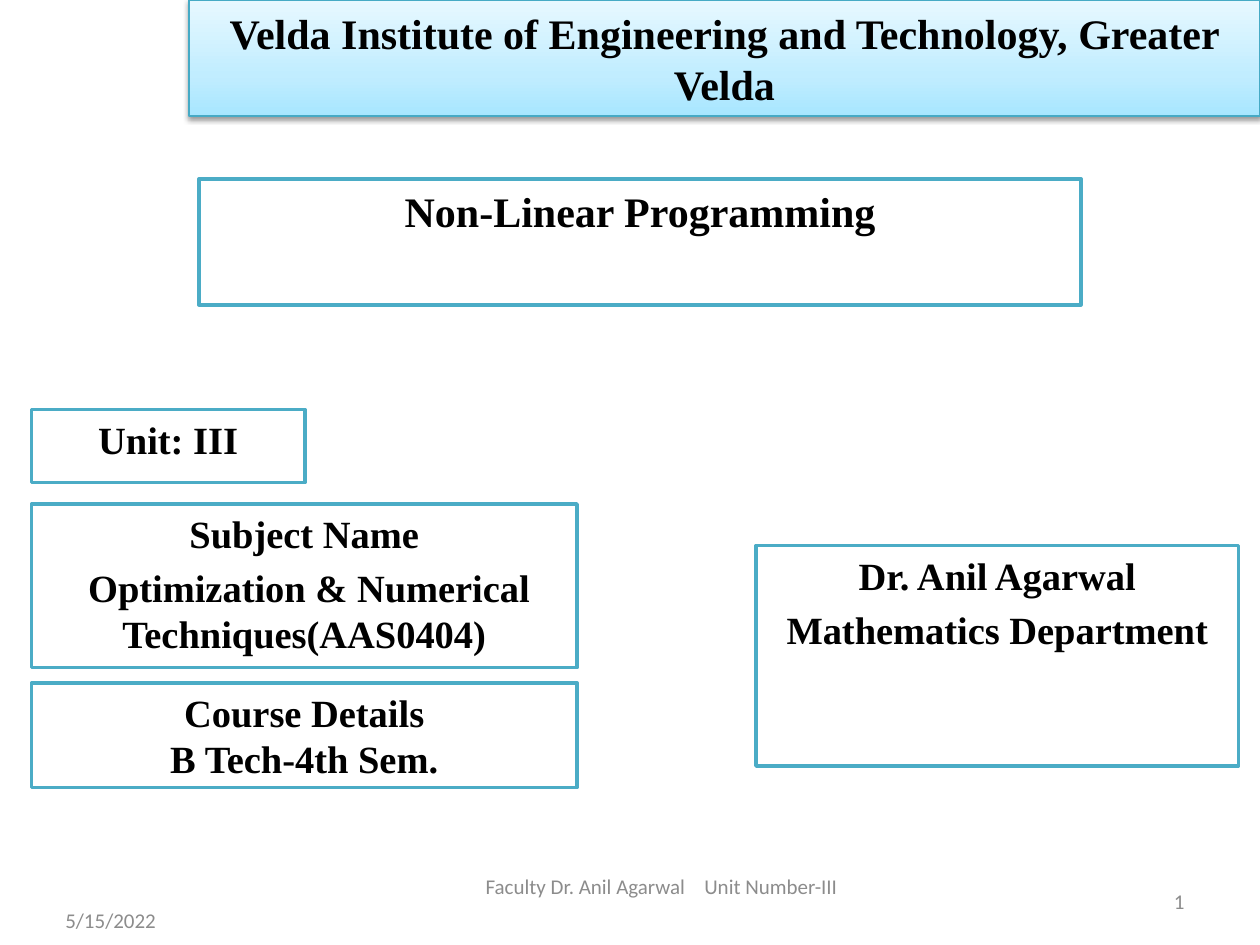
from pptx import Presentation, oxml
from pptx.dml.color import RGBColor
from pptx.enum import shapes, text
from pptx.util import Inches, Pt

MID, LEFT, RIGHT = text.PP_ALIGN.CENTER, text.PP_ALIGN.LEFT, text.PP_ALIGN.RIGHT
NS = 'xmlns:a="http://schemas.openxmlformats.org/drawingml/2006/main"'

BANNER = (1.5, 0, 8.5, 0.92)
TITLE = "Velda Institute of Engineering and Technology, Greater Velda"
STOPS = [(0, "A7E6FF"), (35, "C1EDFF"), (100, "E7F8FF")]

CARDS = [
    ((1.58, 1.42, 7, 1), 24, ["Non-Linear Programming"]),
    ((6, 4.33, 3.83, 1.75), 22, ["Dr. Anil Agarwal", "Mathematics Department"]),
    ((0.25, 3.25, 2.17, 0.58), 22, ["Unit: III"]),
    ((0.25, 4, 4.33, 1.3), 22,
     ["Subject Name", " Optimization & Numerical Techniques(AAS0404)"]),
    ((0.25, 5.42, 4.33, 0.83), 22, ["Course Details\vB Tech-4th Sem."]),
]

NOTES = [
    ((0.42, 7.1, 2.33, 0.4), LEFT, ["5/15/2022"]),
    ((7.17, 6.95, 2.33, 0.4), RIGHT, ["1"]),
    ((2.5, 6.83, 5.5, 0.4), MID, ["Faculty Dr. Anil Agarwal", "Unit Number-III"]),
]


def color(code):
    return RGBColor.from_string(code)


def style(para, face, size, code, align, bold=False):
    para.alignment = align
    font = para.font
    font.name, font.size, font.bold = face, Pt(size), bold
    font.color.rgb = color(code)


def add_box(slide, area, lines, size, edge, width, gap):
    box = slide.shapes.add_shape(shapes.MSO_SHAPE.RECTANGLE, *map(Inches, area))
    box.shadow.inherit = False
    box.line.color.rgb = color(edge)
    box.line.width = Pt(width)
    frame = box.text_frame
    frame.word_wrap = True
    frame.vertical_anchor = text.MSO_ANCHOR.TOP
    for i, line in enumerate(lines):
        para = frame.add_paragraph() if i else frame.paragraphs[0]
        para.text = line
        para.space_before = Pt(gap)
        style(para, "Times New Roman", size, "000000", MID, True)
    return box


def add_banner(slide):
    box = add_box(slide, BANNER, [TITLE], 24, "46AAC5", 0.75, 0)
    box.text_frame.vertical_anchor = text.MSO_ANCHOR.MIDDLE
    stops = "".join(
        f'<a:gs pos="{pos * 1000}"><a:srgbClr val="{code}"/></a:gs>'
        for pos, code in STOPS)
    props = box.line._get_or_add_ln().getparent()
    props.find(oxml.ns.qn("a:ln")).addprevious(oxml.parse_xml(
        f'<a:gradFill {NS} rotWithShape="1"><a:gsLst>{stops}</a:gsLst>'
        '<a:lin ang="16200000" scaled="0"/></a:gradFill>'))
    props.find(oxml.ns.qn("a:effectLst")).append(oxml.parse_xml(
        f'<a:outerShdw {NS} blurRad="{Pt(3.1)}" dist="{Pt(1.6)}" dir="5400000" '
        'rotWithShape="0"><a:srgbClr val="000000"><a:alpha val="38000"/>'
        '</a:srgbClr></a:outerShdw>'))


def add_note(slide, area, align, parts):
    frame = slide.shapes.add_textbox(*map(Inches, area)).text_frame
    frame.word_wrap = True
    frame.vertical_anchor = text.MSO_ANCHOR.MIDDLE
    para = frame.paragraphs[0]
    for i, part in enumerate(parts):
        if i:
            space = para.add_run()
            space.text = " "
            space._r.get_or_add_rPr().set("spc", "810")
        para.add_run().text = part
    style(para, "Calibri", 12, "8C8C8C", align)


def main():
    deck = Presentation()
    deck.slide_width, deck.slide_height = Inches(10), Inches(7.5)
    slide = deck.slides.add_slide(deck.slide_layouts[6])
    add_banner(slide)
    for area, size, lines in CARDS:
        card = add_box(slide, area, lines, size, "4BACC6", 2, size * 0.2)
        card.fill.solid()
        card.fill.fore_color.rgb = color("FFFFFF")
    for note in NOTES:
        add_note(slide, *note)
    deck.save("out.pptx")


if __name__ == "__main__":
    main()
